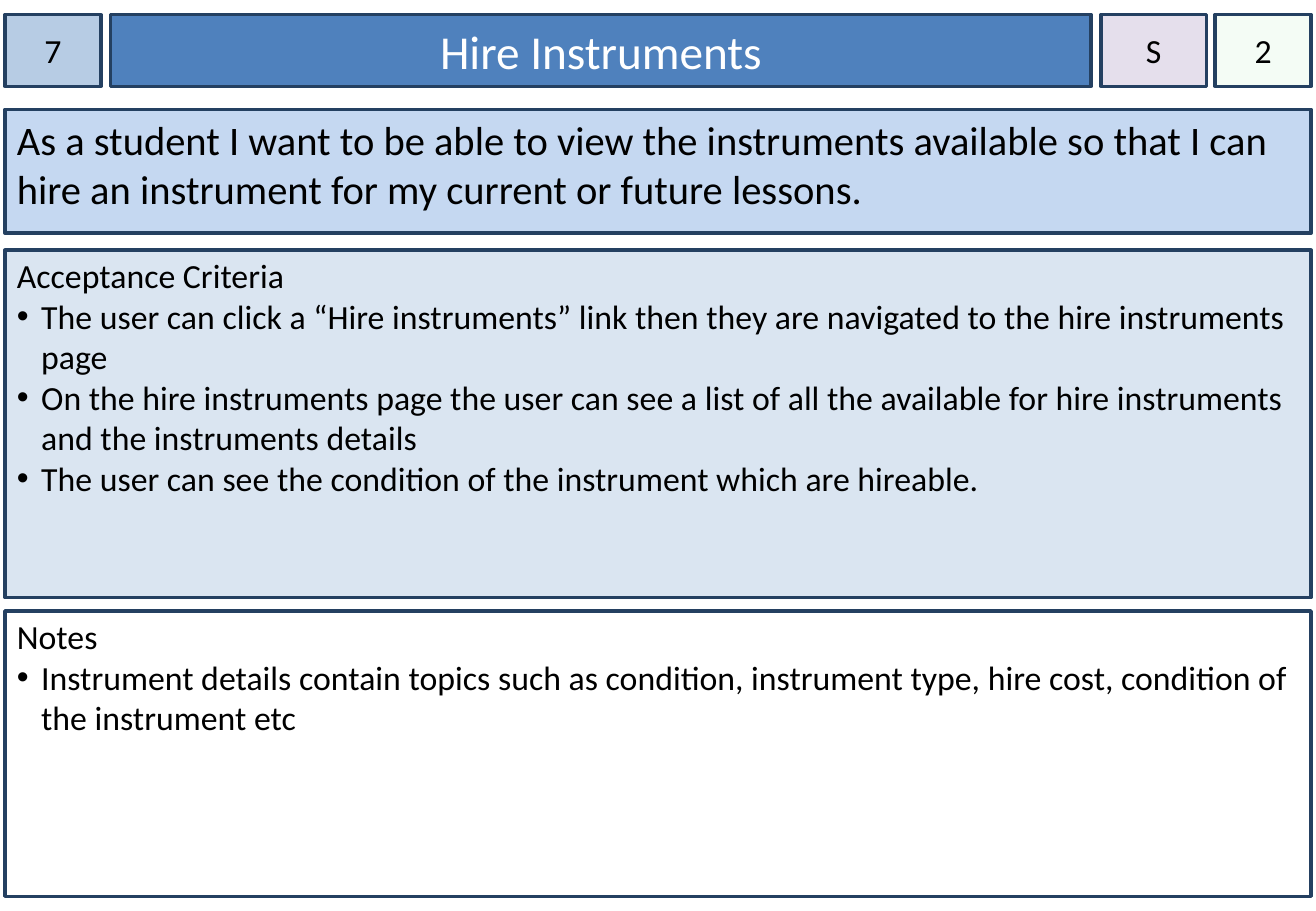
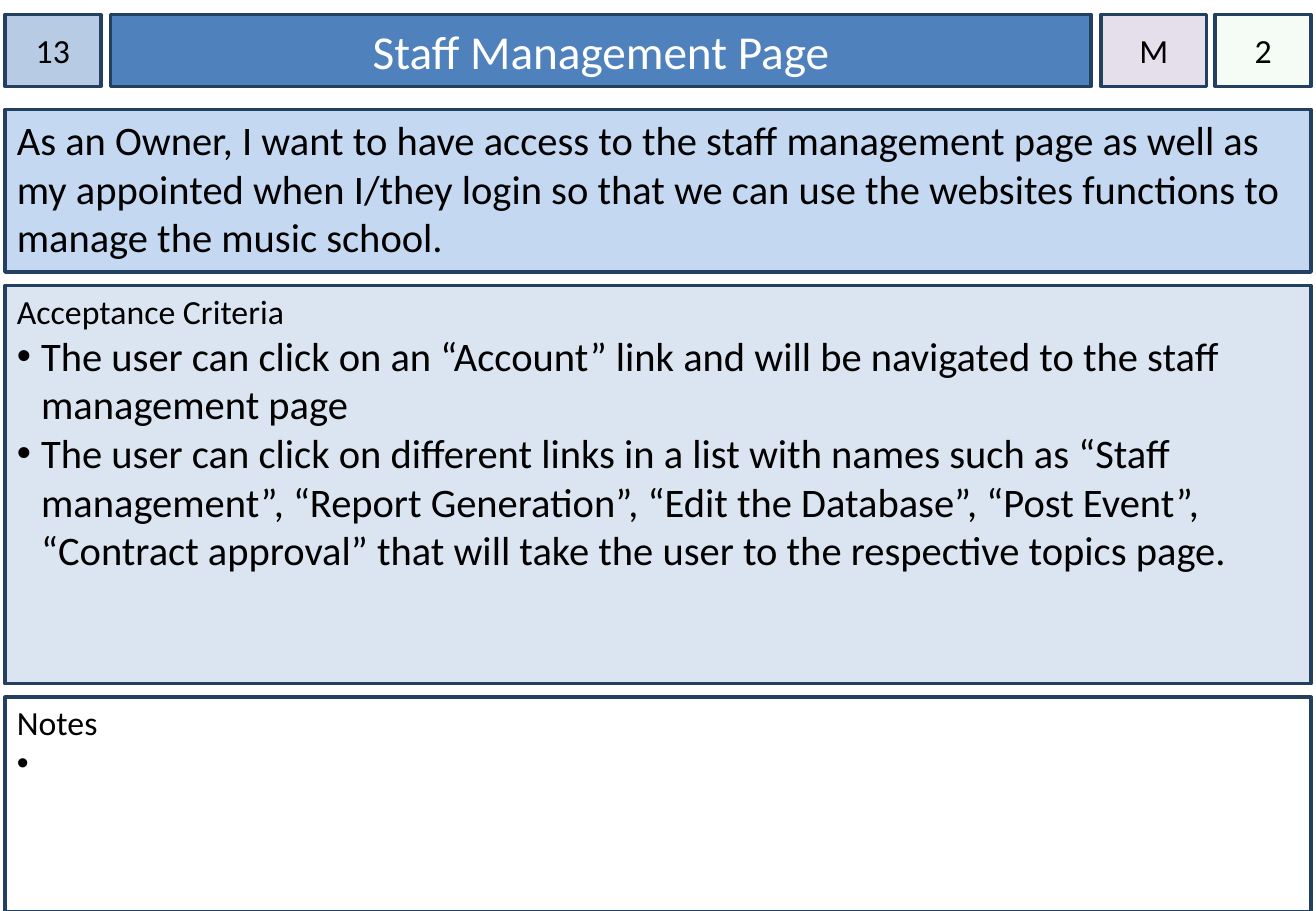
"""Build two user story cards for a music school website."""
from dataclasses import dataclass

from lxml.etree import SubElement
from pptx import Presentation
from pptx.dml.color import RGBColor as RGB
from pptx.enum.shapes import MSO_SHAPE as SHAPE
from pptx.enum.text import MSO_ANCHOR as ANCHOR, PP_ALIGN as ALIGN
from pptx.oxml.ns import qn
from pptx.util import Inches, Pt


@dataclass(frozen=True)
class Theme:
    font: str = "Calibri"
    ink: str = "000000"
    white: str = "FFFFFF"
    border: str = "244061"
    number: str = "B7CCE4"
    title: str = "4F81BD"
    story: str = "C5D8F1"
    criteria: str = "DAE5F1"
    priority: str = "E5DFEC"
    points: str = "CCF0CD"
    title_size: int = 28
    story_size: int = 24
    body_size: int = 20
    border_width: int = 2


T = Theme()
LEFT, WIDTH = 0.04, 10.75
HEADER_TOP, HEADER_HEIGHT = 0.12, 0.59
STORY_TOP = 0.9
HANG = 0.2


def add_text(tf, text, size=T.body_size, color=T.ink, align=ALIGN.LEFT, bullet=False, first=True):
    p = tf.paragraphs[0] if first else tf.add_paragraph()
    p.alignment = align
    if bullet:
        pPr = p._p.get_or_add_pPr()
        pPr.set("marL", str(Inches(HANG)))
        pPr.set("indent", str(-Inches(HANG)))
        SubElement(SubElement(pPr, qn("a:buClr")), qn("a:srgbClr"), val=T.ink)
        SubElement(pPr, qn("a:buFont"), typeface="Arial")
        SubElement(pPr, qn("a:buChar"), char="•")
    r = p.add_run()
    r.text = text
    r.font.name = T.font
    r.font.size = Pt(size)
    r.font.color.rgb = RGB.from_string(color)


def add_box(s, left, top, width, height, fill, anchor=ANCHOR.TOP, side=0.1, inset_top=0.05, alpha=None):
    sp = s.shapes.add_shape(SHAPE.RECTANGLE, Inches(left), Inches(top), Inches(width), Inches(height))
    sp.shadow.inherit = False
    sp.fill.solid()
    sp.fill.fore_color.rgb = RGB.from_string(fill)
    if alpha is not None:
        color = sp._element.spPr.find(qn("a:solidFill")).find(qn("a:srgbClr"))
        SubElement(color, qn("a:alpha"), val=str(alpha * 1000))
    sp.line.color.rgb = RGB.from_string(T.border)
    sp.line.width = Pt(T.border_width)
    tf = sp.text_frame
    tf.word_wrap = True
    tf.vertical_anchor = anchor
    tf.margin_left = tf.margin_right = Inches(side)
    tf.margin_top, tf.margin_bottom = Inches(inset_top), Inches(0.05)
    return tf


cards = [
    {
        "number": "7", "title": "Hire Instruments", "priority": "S", "points": "2",
        "story": "As a student I want to be able to view the instruments available so that I can "
                 "hire an instrument for my current or future lessons.",
        "story_height": 1.02,
        "panels": [
            ("Acceptance Criteria", T.criteria, 2.06, 2.86, T.body_size, [
                "The user can click a “Hire instruments” link then they are navigated to the "
                "hire instruments page",
                "On the hire instruments page the user can see a list of all the available for "
                "hire instruments and the instruments details",
                "The user can see the condition of the instrument which are hireable.",
            ]),
            ("Notes", T.white, 5.03, 2.35, T.body_size, [
                "Instrument details contain topics such as condition, instrument type, hire cost, "
                "condition of the instrument etc",
            ]),
        ],
    },
    {
        "number": "13", "title": "Staff Management Page", "priority": "M", "points": "2",
        "story": "As an Owner, I want to have access to the staff management page as well as my "
                 "appointed when I/they login so that we can use the websites functions to manage "
                 "the music school.",
        "story_height": 1.34,
        "panels": [
            ("Acceptance Criteria", T.criteria, 2.35, 3.28, T.story_size, [
                "The user can click on an “Account” link and will be navigated to the staff "
                "management page",
                "The user can click on different links in a list with names such as “Staff "
                "management”, “Report Generation”, “Edit the Database”, “Post Event”, “Contract "
                "approval” that will take the user to the respective topics page.",
            ]),
            ("Notes", T.white, 5.74, 1.77, T.body_size, [" "]),
        ],
    },
]

header = [
    ("number", LEFT, 0.79, T.number, T.body_size, T.ink, 0, None),
    ("title", 0.91, 8.07, T.title, T.title_size, T.white, 0.1, None),
    ("points", 10, 0.79, T.points, T.body_size, T.ink, 0, 20),
    ("priority", 9.06, 0.87, T.priority, T.body_size, T.ink, 0, None),
]

prs = Presentation()
prs.slide_width, prs.slide_height = Inches(10.83), Inches(7.5)

for card in cards:
    s = prs.slides.add_slide(prs.slide_layouts[6])

    for key, left, width, fill, size, color, side, alpha in header:
        tf = add_box(s, left, HEADER_TOP, width, HEADER_HEIGHT, fill,
                     anchor=ANCHOR.MIDDLE, side=side, alpha=alpha)
        add_text(tf, card[key], size=size, color=color, align=ALIGN.CENTER)

    tf = add_box(s, LEFT, STORY_TOP, WIDTH, card["story_height"], T.story)
    add_text(tf, card["story"], size=T.story_size)

    for heading, fill, top, height, size, items in card["panels"]:
        tf = add_box(s, LEFT, top, WIDTH, height, fill, inset_top=0.04)
        add_text(tf, heading)
        for item in items:
            add_text(tf, item, size=size, bullet=True, first=False)

prs.save("out.pptx")
